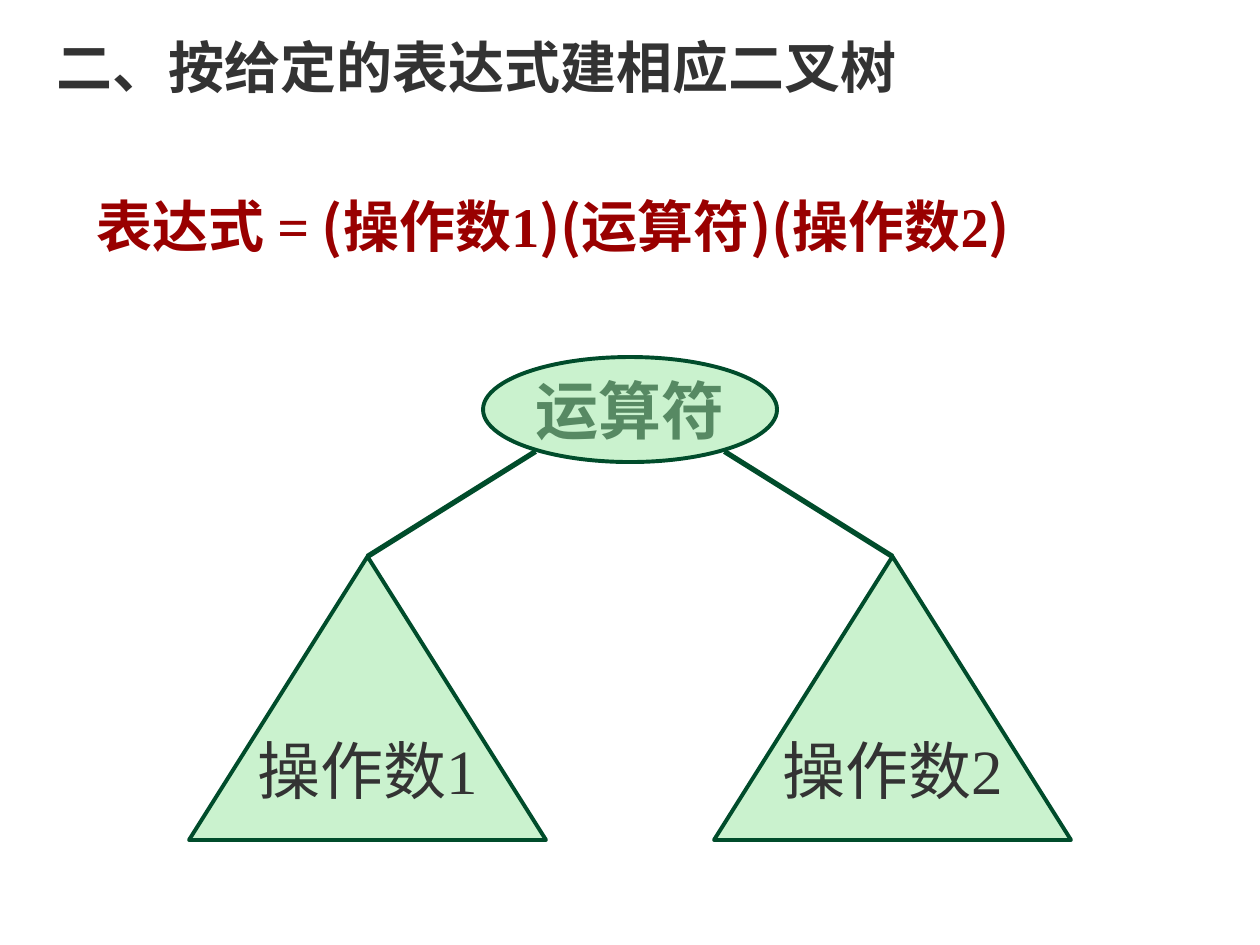
import pptx
import pptx.dml.color
import pptx.enum.shapes
import pptx.enum.text
import pptx.oxml.ns
import pptx.util
from lxml import etree

Pt = pptx.util.Pt
RGBColor = pptx.dml.color.RGBColor
MSO_SHAPE = pptx.enum.shapes.MSO_SHAPE
PP_ALIGN = pptx.enum.text.PP_ALIGN
MSO_ANCHOR = pptx.enum.text.MSO_ANCHOR

INK = RGBColor(0x33, 0x33, 0x33)
RED = RGBColor(0x99, 0x00, 0x00)
PALE_GREEN = RGBColor(0xCA, 0xF2, 0xCE)
MID_GREEN = RGBColor(0x57, 0x89, 0x63)
DARK_GREEN = RGBColor(0x00, 0x4C, 0x2B)
SERIF = "Times New Roman"
SANS = "Noto Sans CJK SC"

# Tree geometry: everything mirrors about the slide's centre line
CENTRE = 360
ROOT_TOP, ROOT_WIDTH, ROOT_HEIGHT = 204, 168, 60
SUBTREE_TOP, SUBTREE_WIDTH, SUBTREE_HEIGHT = 318, 204, 162
SUBTREE_OFFSET = 150
BRANCH_TOP, BRANCH_OFFSET = 258, 54


def style_font(font, size, color, bold=False):
    font.size = Pt(size)
    font.bold = bold
    font.color.rgb = color


def add_title(slide, text):
    title = slide.shapes.title
    title.left, title.top, title.width, title.height = Pt(25), Pt(15), Pt(618), Pt(45.6)
    frame = title.text_frame
    frame.text = text
    frame.word_wrap = True
    frame.auto_size = pptx.enum.text.MSO_AUTO_SIZE.NONE
    frame.vertical_anchor = MSO_ANCHOR.TOP
    heading = frame.paragraphs[0]
    heading.alignment = PP_ALIGN.LEFT
    style_font(heading.font, 32, INK, bold=True)
    heading.font.name = SERIF


def add_formula(slide, pieces):
    formula = slide.shapes.add_textbox(Pt(48), Pt(106), Pt(636), Pt(45.6))
    formula.text_frame.word_wrap = True
    line = formula.text_frame.paragraphs[0]
    style_font(line.font, 32, RED, bold=True)
    for text, typeface in pieces:
        piece = line.add_run()
        piece.text = text
        piece.font.name = typeface


def add_node(slide, kind, top, width, height, label, color, bold=False, offset=0):
    node = slide.shapes.add_shape(
        kind, Pt(CENTRE + offset - width / 2), Pt(top), Pt(width), Pt(height))
    node.shadow.inherit = False
    node.fill.solid()
    node.fill.fore_color.rgb = PALE_GREEN
    node.line.color.rgb = DARK_GREEN
    node.line.width = Pt(2.25)
    frame = node.text_frame
    frame.text = label
    frame.word_wrap = False
    frame.vertical_anchor = MSO_ANCHOR.MIDDLE
    caption = frame.paragraphs[0]
    caption.alignment = PP_ALIGN.CENTER
    style_font(caption.font, 36, color, bold)
    caption.font.name = SERIF


def add_branch(slide, side):
    branch = slide.shapes.add_connector(
        pptx.enum.shapes.MSO_CONNECTOR.STRAIGHT,
        Pt(CENTRE + side * (SUBTREE_OFFSET - BRANCH_OFFSET - 42 + 0)), Pt(BRANCH_TOP),
        Pt(CENTRE + side * SUBTREE_OFFSET), Pt(SUBTREE_TOP))
    branch.line.color.rgb = DARK_GREEN
    branch.line.width = Pt(3)
    etree.SubElement(branch._element.spPr, pptx.oxml.ns.qn("a:effectLst"))


def main():
    deck = pptx.Presentation()
    deck.slide_width, deck.slide_height = Pt(720), Pt(540)
    slide = deck.slides.add_slide(deck.slide_layouts[5])

    # Heading and formula
    add_title(slide, "二、按给定的表达式建相应二叉树")
    add_formula(slide, [
        ("表达式 ", SANS), ("=", SERIF), (" (操作数", SANS), ("1", SERIF),
        (")(运算符)(操作数", SANS), ("2", SERIF), (")", SANS)])

    # Binary tree: operator at the root, operands as subtrees
    add_node(slide, MSO_SHAPE.OVAL, ROOT_TOP, ROOT_WIDTH, ROOT_HEIGHT,
             "运算符", MID_GREEN, bold=True)
    for side, operand in ((-1, "操作数1"), (1, "操作数2")):
        add_branch(slide, side)
        add_node(slide, MSO_SHAPE.ISOSCELES_TRIANGLE, SUBTREE_TOP, SUBTREE_WIDTH,
                 SUBTREE_HEIGHT, operand, INK, offset=side * SUBTREE_OFFSET)

    deck.save("out.pptx")


if __name__ == "__main__":
    main()
